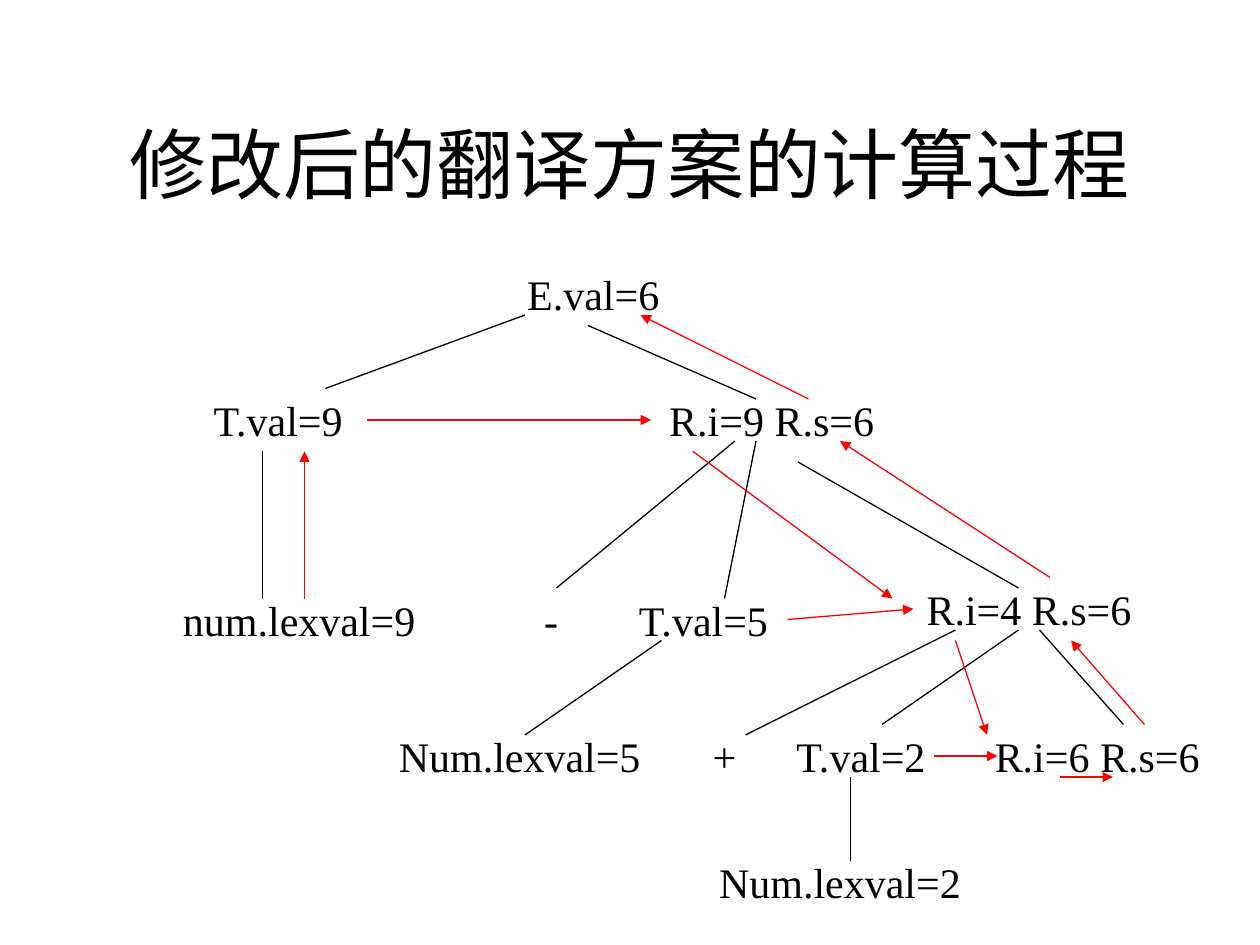
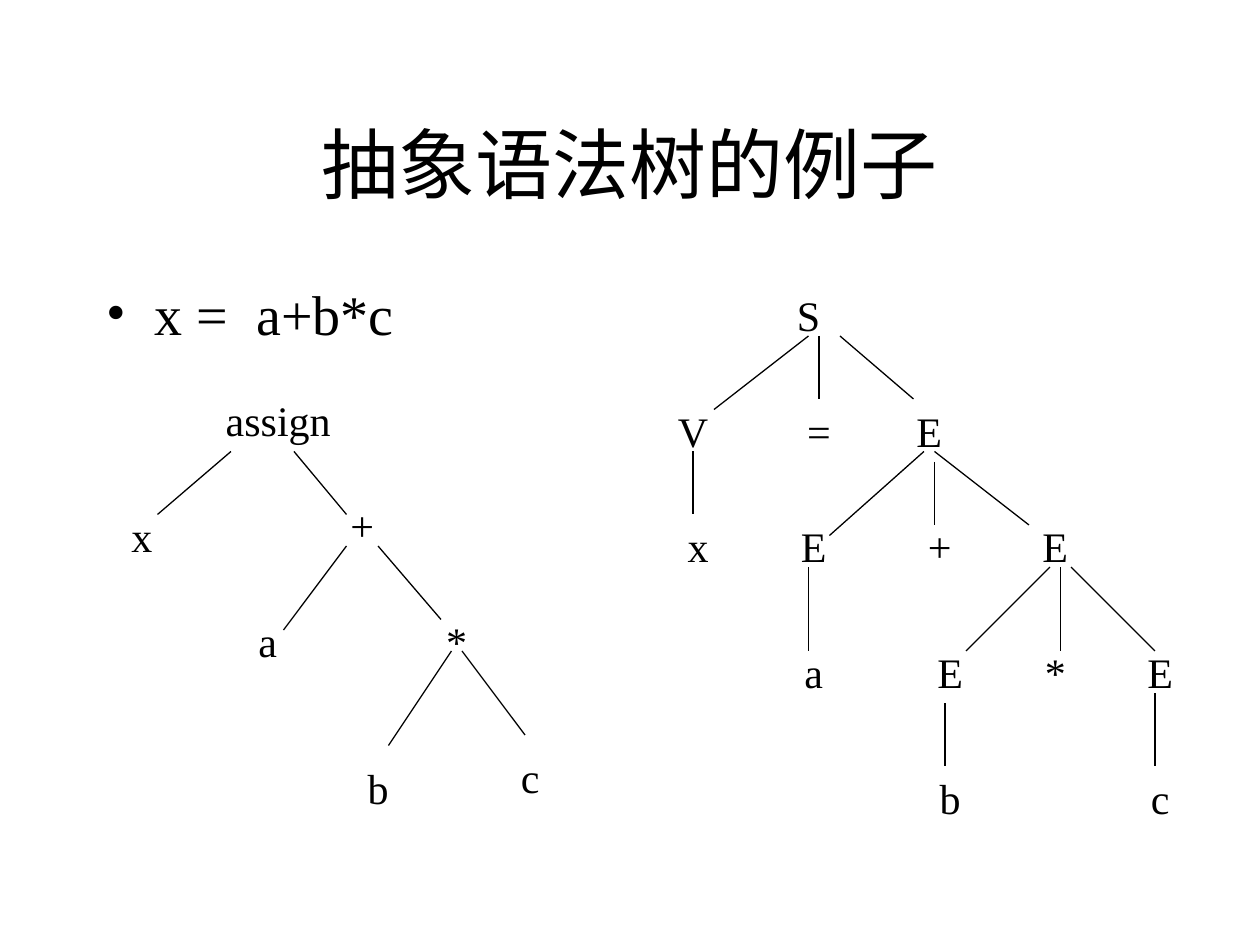
from lxml import etree
from pptx import Presentation
from pptx.dml.color import RGBColor
from pptx.enum.shapes import MSO_CONNECTOR
from pptx.enum.text import MSO_ANCHOR, MSO_AUTO_SIZE, PP_ALIGN
from pptx.oxml.ns import qn
from pptx.util import Inches, Pt

BLACK = RGBColor(0x00, 0x00, 0x00)
RED = RGBColor(0xFF, 0x00, 0x00)
FONT = "Times New Roman"

deck = Presentation()
deck.slide_width, deck.slide_height = Inches(10), Inches(7.5)

# Square grid: 120 columns by 90 rows
CELL = deck.slide_width // 120
NODE_ROWS = 6


def write(frame, text, size, align):
    frame.word_wrap = True
    frame.auto_size = MSO_AUTO_SIZE.NONE
    paragraph = frame.paragraphs[0]
    paragraph.alignment = align
    run = paragraph.add_run()
    run.text = text
    run.font.name, run.font.size = FONT, Pt(size)
    run.font.color.rgb = BLACK
    return paragraph


def draw_line(slide, ends, color, arrow=False):
    line = slide.shapes.add_connector(
        MSO_CONNECTOR.STRAIGHT, *(CELL * place for place in ends))
    line.line.color.rgb = color
    line.line.width = Pt(0.75)
    if arrow:
        etree.SubElement(line.line._get_or_add_ln(), qn("a:tailEnd"), type="triangle")
    etree.SubElement(line._element.spPr, qn("a:effectLst"))


# Nodes: {top row: [(text, left column, columns wide)]}
# Branches and flows: (from column, from row, to column, to row)
evaluation = {
    "title": "修改后的翻译方案的计算过程",
    "nodes": {
        25: [("E.val=6", 49, 15)],
        37: [("T.val=9", 17, 19), ("R.i=9 R.s=6", 59, 29)],
        55: [("R.i=4 R.s=6", 84, 28)],
        56: [("num.lexval=9", 14, 29), ("-", 47, 11), ("T.val=5", 56, 22)],
        69: [("Num.lexval=5", 35, 29), ("+", 65, 8), ("T.val=2", 73, 18),
             ("R.i=6 R.s=6", 93, 23)],
        81: [("Num.lexval=2", 64, 32)],
    },
    "branches": [
        (50, 30, 31, 37), (56, 31, 72, 38), (25, 43, 25, 57),
        (70, 42, 53, 56), (72, 42, 69, 57), (76, 44, 97, 56),
        (63, 61, 50, 70), (91, 60, 71, 70), (97, 60, 84, 69),
        (99, 60, 107, 69), (81, 74, 81, 82),
    ],
    "flows": [
        (29, 57, 29, 43), (35, 40, 62, 40), (66, 43, 85, 57),
        (75, 59, 87, 58), (91, 61, 94, 70), (89, 72, 95, 72),
        (101, 74, 106, 74), (109, 69, 102, 61), (100, 55, 80, 42),
        (77, 38, 61, 30),
    ],
}

syntax_trees = {
    "title": "抽象语法树的例子",
    "bullet": "x =  a+b*c",
    "nodes": {
        # Abstract syntax tree
        37: [("assign", 17, 19)],
        47: [("+", 29, 11)],
        48: [("x", 9, 9)],
        58: [("a", 20, 11), ("*", 38, 11)],
        71: [("c", 45, 11)],
        72: [("b", 31, 10)],
        # Parse tree
        27: [("S", 69, 16)],
        38: [("V", 62, 8), ("=", 73, 10), ("E", 84, 9)],
        49: [("x", 63, 7), ("E", 73, 9), ("+", 85, 9), ("E", 96, 9)],
        61: [("a", 74, 7), ("E", 86, 9), ("*", 96, 9), ("E", 106, 9)],
        73: [("b", 87, 7), ("c", 107, 7)],
    },
    "branches": [
        # Abstract syntax tree
        (22, 43, 15, 49), (28, 43, 33, 49), (33, 52, 27, 60),
        (36, 52, 42, 59), (43, 62, 37, 71), (44, 62, 50, 70),
        # Parse tree
        (77, 32, 68, 39), (78, 32, 78, 38), (80, 32, 87, 38),
        (66, 43, 66, 49), (88, 43, 79, 51), (89, 44, 89, 50),
        (89, 43, 98, 50), (77, 54, 77, 62), (100, 54, 92, 62),
        (101, 54, 101, 62), (102, 54, 110, 62), (90, 67, 90, 73),
        (110, 66, 110, 73),
    ],
    "flows": [],
}

for content in (evaluation, syntax_trees):
    slide = deck.slides.add_slide(deck.slide_layouts[5])

    # Title
    title = slide.shapes.title
    title.left, title.top = CELL * 9, CELL * 8
    title.width, title.height = CELL * 102, CELL * 15
    title.text_frame.vertical_anchor = MSO_ANCHOR.MIDDLE
    write(title.text_frame, content["title"], 44, PP_ALIGN.CENTER)

    # Bulleted expression
    if "bullet" in content:
        expression = slide.shapes.add_textbox(CELL * 9, CELL * 26, CELL * 30, CELL * 8)
        paragraph = write(expression.text_frame, content["bullet"], 32, PP_ALIGN.LEFT)
        properties = paragraph._p.get_or_add_pPr()
        properties.set("marL", str(Inches(0.38)))
        properties.set("indent", str(-Inches(0.38)))
        etree.SubElement(properties, qn("a:buFont"), typeface=FONT)
        etree.SubElement(properties, qn("a:buChar"), char="•")

    # Tree nodes
    for row, nodes in content["nodes"].items():
        for text, column, columns in nodes:
            node = slide.shapes.add_textbox(
                CELL * column, CELL * row, CELL * columns, CELL * NODE_ROWS)
            write(node.text_frame, text, 24, PP_ALIGN.CENTER)

    # Tree branches, then the flow of attribute values
    for ends in content["branches"]:
        draw_line(slide, ends, BLACK)
    for ends in content["flows"]:
        draw_line(slide, ends, RED, arrow=True)

deck.save("out.pptx")
